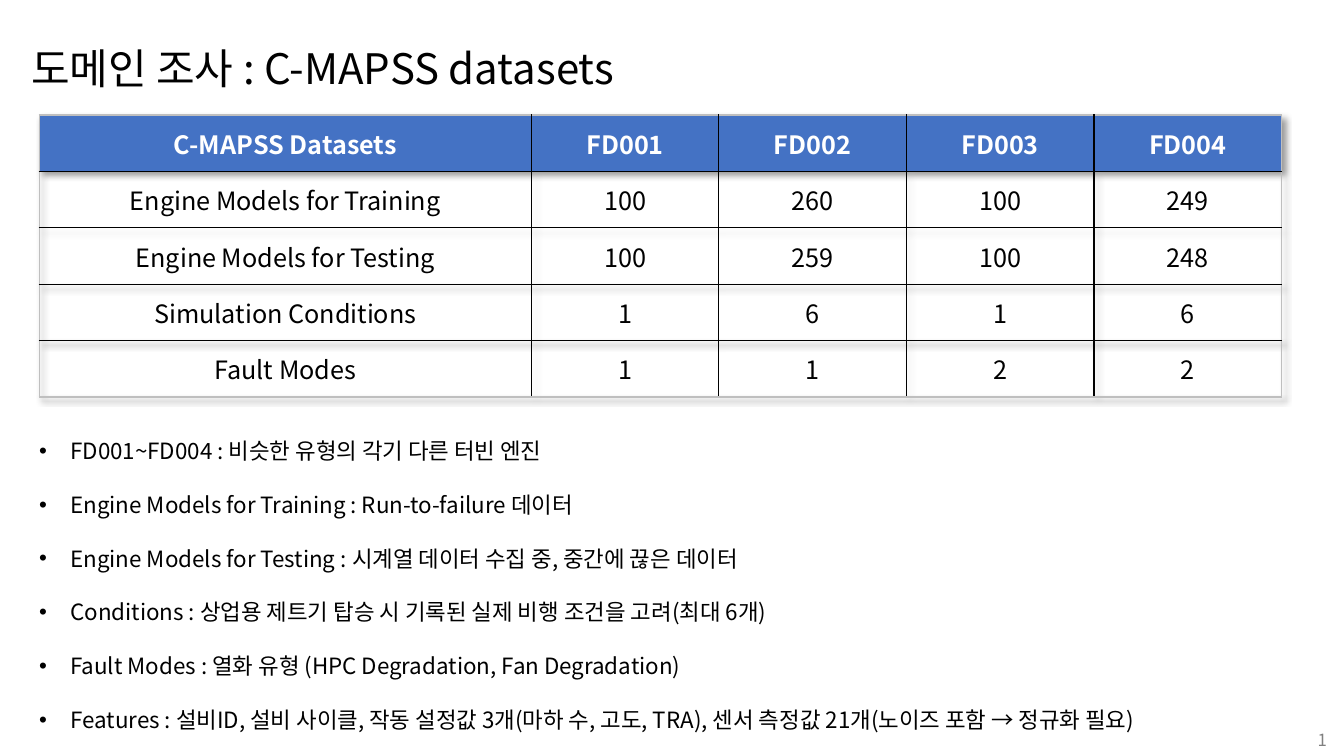
from lxml import etree
from pptx import Presentation
from pptx.dml.color import RGBColor
from pptx.enum.text import MSO_ANCHOR, PP_ALIGN
from pptx.oxml import parse_xml
from pptx.oxml.ns import nsdecls, qn
from pptx.util import Inches, Pt

FONT = "Noto Sans CJK KR"
COLS, ROWS = [4.88] + [1.86] * 4, [0.56] * 5
TABLE = [
    ["C-MAPSS Datasets", "FD001", "FD002", "FD003", "FD004"],
    ["Engine Models for Training", "100", "260", "100", "249"],
    ["Engine Models for Testing", "100", "259", "100", "248"],
    ["Simulation Conditions", "1", "6", "1", "6"],
    ["Fault Modes", "1", "1", "2", "2"],
]
NOTES = [
    "FD001~FD004 : 비슷한 유형의 각기 다른 터빈 엔진",
    "Engine Models for Training : Run-to-failure 데이터",
    "Engine Models for Testing : 시계열 데이터 수집 중, 중간에 끊은 데이터",
    "Conditions : 상업용 제트기 탑승 시 기록된 실제 비행 조건을 고려(최대 6개)",
    "Fault Modes : 열화 유형 (HPC Degradation, Fan Degradation)",
    "Features : 설비ID, 설비 사이클, 작동 설정값 3개(마하 수, 고도, TRA), "
    "센서 측정값 21개(노이즈 포함 → 정규화 필요)",
]


def write(p, text, size=18, color="000000", bold=False, align=PP_ALIGN.LEFT):
    p.alignment = align
    r = p.add_run()
    r.text = text
    r.font.size, r.font.bold, r.font.name = Pt(size), bold, FONT
    r.font.color.rgb = RGBColor.from_string(color)
    etree.SubElement(r._r.get_or_add_rPr(), qn("a:ea")).set("typeface", FONT)


def add_box(left, top, width, height):
    tf = s.shapes.add_textbox(*map(Inches, (left, top, width, height))).text_frame
    tf.word_wrap = True
    return tf


prs = Presentation()
prs.slide_width, prs.slide_height = Inches(13.33), Inches(7.5)
s = prs.slides.add_slide(prs.slide_layouts[6])

write(add_box(12.97, 7.19, 0.46, 0.3).paragraphs[0], "1", size=12, color="808080")

tf = add_box(0.29, 4.29, 12.33, 3.06)
for i, note in enumerate(NOTES):
    p = tf.add_paragraph() if i else tf.paragraphs[0]
    pPr = p._p.get_or_add_pPr()
    pPr.set("marL", str(Inches(0.31)))
    pPr.set("indent", str(-Inches(0.31)))
    etree.SubElement(pPr, qn("a:buFont")).set("typeface", "Arial")
    etree.SubElement(pPr, qn("a:buChar")).set("char", "•")
    if i:
        p.space_before = Pt(19.2)
    write(p, note, size=16)

frame = s.shapes.add_table(len(ROWS), len(COLS), Inches(0.39), Inches(1.14),
                           Inches(sum(COLS)), Inches(sum(ROWS)))
table = frame.table
table.horz_banding = False
table._tbl.tblPr.insert(0, parse_xml(
    f'<a:effectLst {nsdecls("a")}><a:outerShdw blurRad="50800" dist="38100" dir="2700000" algn="tl">'
    '<a:srgbClr val="000000"><a:alpha val="40000"/></a:srgbClr></a:outerShdw></a:effectLst>'))
for column, width in zip(table.columns, COLS):
    column.width = Inches(width)
for row, height in zip(table.rows, ROWS):
    row.height = Inches(height)

for i, values in enumerate(TABLE):
    for j, value in enumerate(values):
        cell = table.cell(i, j)
        cell.vertical_anchor = MSO_ANCHOR.MIDDLE
        if i == 0:
            cell.fill.solid()
            cell.fill.fore_color.rgb = RGBColor.from_string("4472C4")
        else:
            cell.fill.background()
        write(cell.text_frame.paragraphs[0], value, color="000000" if i else "FFFFFF",
              bold=i == 0, align=PP_ALIGN.CENTER)
        outer = {"lnL": j == 0, "lnR": j == len(COLS) - 1, "lnT": i == 0, "lnB": i == len(ROWS) - 1}
        for k, (side, is_outer) in enumerate(outer.items()):
            color = "BFBFBF" if is_outer else "000000"
            cell._tc.get_or_add_tcPr().insert(k, parse_xml(
                f'<a:{side} {nsdecls("a")} w="{Pt(1)}"><a:solidFill><a:srgbClr val="{color}"/>'
                f'</a:solidFill></a:{side}>'))

write(add_box(0.21, 0.37, 11.06, 0.61).paragraphs[0], "도메인 조사 : C-MAPSS datasets", size=30)

prs.save("out.pptx")
